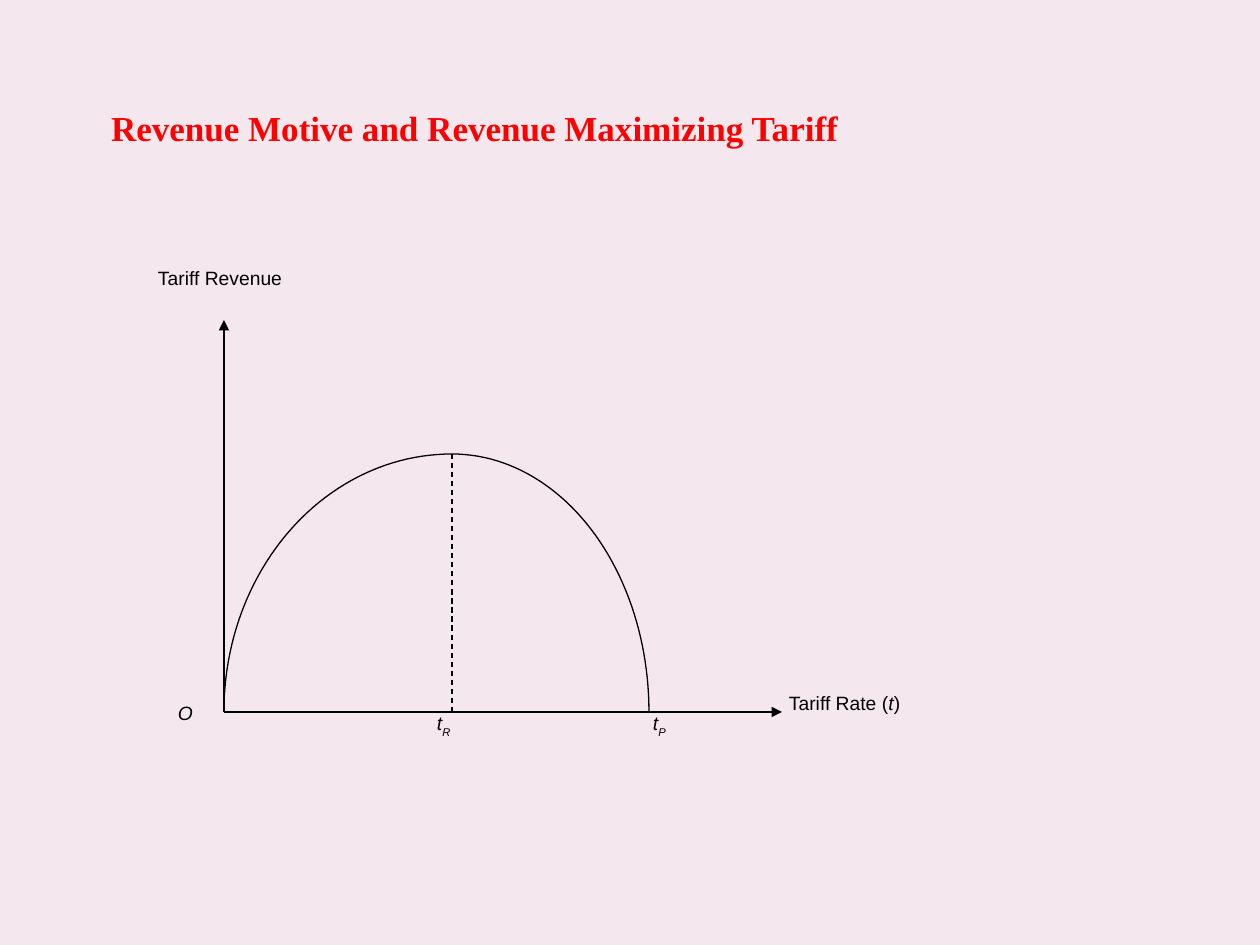
from math import cos, pi, sin

from pptx import Presentation
from pptx.dml.color import RGBColor
from pptx.enum.dml import MSO_LINE
from pptx.enum.shapes import MSO_CONNECTOR
from pptx.enum.text import MSO_ANCHOR, MSO_AUTO_SIZE, PP_ALIGN
from pptx.oxml.ns import qn
from pptx.util import Pt
from lxml.etree import SubElement as Sub

PX = 914400 // 126
PINK = RGBColor(0xF4, 0xE7, 0xED)
RED = RGBColor(0xFF, 0, 0)
BLACK = RGBColor(0, 0, 0)


def emu(*sizes):
    """Turn px into EMU."""
    return [round(size * PX) for size in sizes]


def style(font, name, size, color):
    """Set the face, size and colour of a font."""
    font.name, font.size = name, Pt(size)
    font.color.rgb = color


def add_title(slide, box, text):
    """Place and format the title."""
    title = slide.shapes.title
    title.left, title.top, title.width, title.height = emu(*box)
    frame = title.text_frame
    frame.word_wrap, frame.auto_size = True, MSO_AUTO_SIZE.NONE
    frame.vertical_anchor = MSO_ANCHOR.BOTTOM
    frame.margin_left, frame.margin_top, frame.margin_right, frame.margin_bottom = emu(6, 0, 6, 40)
    frame.text = text
    para = frame.paragraphs[0]
    para.alignment = PP_ALIGN.LEFT
    style(para.font, "Times New Roman", 20, RED)
    para.font.bold = True


def add_line(group, start, end, arrow=False):
    """Draw a thin black line, with an arrow or dashes."""
    line = group.shapes.add_connector(MSO_CONNECTOR.STRAIGHT, *emu(*start, *end))
    line.line.color.rgb, line.line.width = BLACK, Pt(0.75)
    if arrow:
        Sub(line.line._get_or_add_ln(), qn("a:tailEnd"), type="triangle")
    else:
        line.line.dash_style = MSO_LINE.DASH
    Sub(line._element.spPr, qn("a:effectLst"))


def add_arc(group, mid, wide, high, steps=48):
    """Draw a quarter ellipse from its peak down to the base."""
    x, y = mid
    turns = [pi / 2 * i / steps for i in range(steps + 1)]
    spots = [emu(x + wide * sin(a), y - high * cos(a)) for a in turns]
    path = group.shapes.build_freeform(*spots[0])
    path.add_line_segments(spots[1:], close=False)
    arc = path.convert_to_shape()
    arc.shadow.inherit = False
    arc.fill.background()
    arc.line.color.rgb, arc.line.width = BLACK, Pt(0.75)


def add_label(group, box, parts, tab=None):
    """Write a label from pairs of text and look: plain, italic or sub."""
    frame = group.shapes.add_textbox(*emu(*box)).text_frame
    frame.word_wrap = True
    frame.margin_left, frame.margin_top, frame.margin_right, frame.margin_bottom = emu(8, 4, 8, 4)
    para = frame.paragraphs[0]
    if tab:
        tabs = Sub(para._p.get_or_add_pPr(), qn("a:tabLst"))
        Sub(tabs, qn("a:tab"), pos=str(tab * PX), algn="l")
    style(para.font, "Arial", 11, BLACK)
    for text, look in parts:
        run = para.add_run()
        run.text = text
        run.font.italic = look != "plain"
        if look == "sub":
            run._r.get_or_add_rPr().set("baseline", "-30000")


def add_graph(slide, box):
    """Draw the revenue curve with its axes and labels."""
    left, top, wide, high = box
    base = top + high
    zero, mid = (left, base), (left + 228, base)
    rise = 258
    group = slide.shapes.add_group_shape()
    add_line(group, zero, (left, top), arrow=True)
    add_line(group, zero, (left + wide, base), arrow=True)
    for reach in (-228, 197):
        add_arc(group, mid, reach, rise)
    add_line(group, (mid[0], base - rise), mid)
    add_label(group, (left - 74, top - 58, 232, 49), [("Tariff Revenue", "plain")])
    add_label(group, (left + wide - 1, base - 25, 212, 49),
              [("Tariff Rate (", "plain"), ("t", "italic"), (")", "plain")])
    add_label(group, (left - 54, base - 15, 55, 49), [("O", "italic")])
    add_label(group, (left + 205, base - 5, 263, 32),
              [("t", "italic"), ("R", "sub"), ("\t", "italic"), ("t", "italic"), ("P", "sub")],
              tab=216)


def main():
    """Build and save the slide."""
    deck = Presentation()
    deck.slide_width, deck.slide_height = emu(1260, 945)
    slide = deck.slides.add_slide(deck.slide_layouts[5])
    slide.background.fill.solid()
    slide.background.fill.fore_color.rgb = PINK
    add_title(slide, (105, 32, 998, 157), "Revenue Motive and Revenue Maximizing Tariff")
    add_graph(slide, (224, 320, 558, 392))
    deck.save("out.pptx")


if __name__ == "__main__":
    main()
